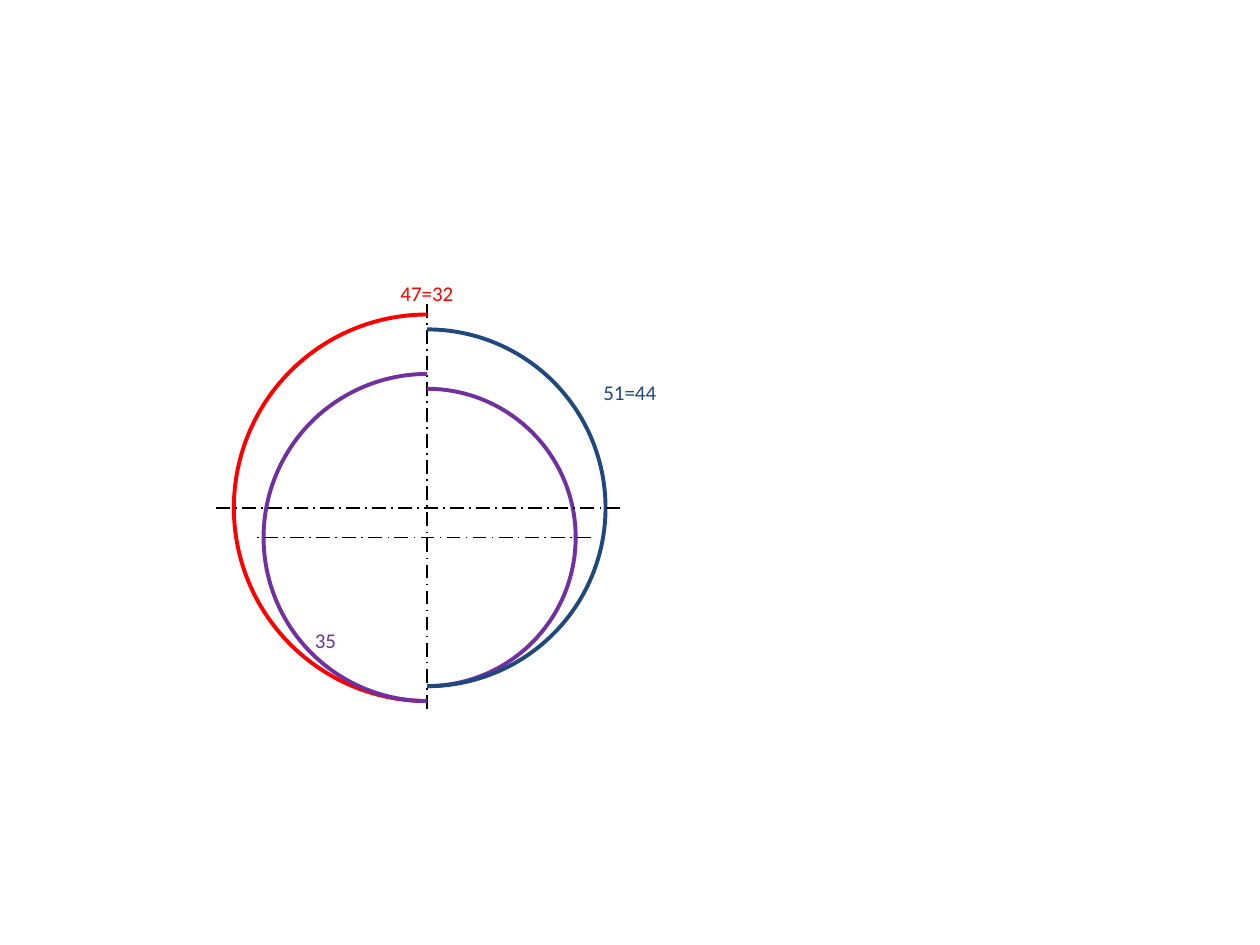
from pptx import Presentation
from pptx.dml.color import RGBColor
from pptx.enum.dml import MSO_LINE
from pptx.enum.shapes import MSO_CONNECTOR, MSO_SHAPE
from pptx.enum.text import MSO_AUTO_SIZE
from pptx.oxml.ns import qn
from pptx.util import Inches, Pt
from lxml import etree

ARC = MSO_SHAPE.ARC
STRAIGHT = MSO_CONNECTOR.STRAIGHT
LONG_DASH_DOT = MSO_LINE.LONG_DASH_DOT
FIT_SHAPE = MSO_AUTO_SIZE.SHAPE_TO_FIT_TEXT

COLORS = {"axis": "000000", "left": "FF0000", "right": "1F497D", "inner": "7030A0"}

# Grid: columns and rows counted from the centre of the outer arcs.
UNIT = 0.118
CENTER_X, CENTER_Y = 3.39, 4.03
INNER_ROW = 2

# Arc angles in units of 100000/60000 degrees.
TOP, BOTTOM = 162, 54
HALVES = {"left": (BOTTOM, TOP), "right": (TOP, BOTTOM)}


def color(name):
    return RGBColor.from_string(COLORS[name])


def point(column, row):
    return Inches(CENTER_X + column * UNIT), Inches(CENTER_Y + row * UNIT)


def add_half_circle(page, side, radius, row, color_name):
    size = Inches(2 * radius * UNIT)
    arc = page.shapes.add_shape(ARC, *point(-radius, row - radius), size, size)
    arc.adjustments[0], arc.adjustments[1] = HALVES[side]
    arc.shadow.inherit = False
    arc.fill.background()
    arc.line.color.rgb = color(color_name)
    arc.line.width = Pt(2.25)


def add_axis(page, start, end):
    axis = page.shapes.add_connector(STRAIGHT, *point(*start), *point(*end))
    axis.line.color.rgb = color("axis")
    axis.line.width = Pt(1)
    axis.line.dash_style = LONG_DASH_DOT
    etree.SubElement(axis._element.spPr, qn("a:effectLst"))


def add_label(page, text, left, top, width, color_name):
    box = page.shapes.add_textbox(Inches(left), Inches(top), Inches(width), Inches(0.3))
    frame = box.text_frame
    frame.text = text
    frame.word_wrap = False
    frame.auto_size = FIT_SHAPE
    font = frame.paragraphs[0].runs[0].font
    font.name = "Calibri"
    font.size = Pt(12)
    font.color.rgb = color(color_name)


def main():
    deck = Presentation()
    deck.slide_width, deck.slide_height = Inches(10), Inches(7.5)
    page = deck.slides.add_slide(deck.slide_layouts[6])

    add_axis(page, (0, -13.7), (0, 13.7))
    add_half_circle(page, "left", 13, 0, "left")
    add_half_circle(page, "left", 11, INNER_ROW, "inner")
    add_half_circle(page, "right", 10, INNER_ROW, "inner")
    add_half_circle(page, "right", 12, 0, "right")
    add_axis(page, (13, 0), (-14.3, 0))
    add_axis(page, (11, INNER_ROW), (-11.7, INNER_ROW))

    add_label(page, "47=32", 3.08, 2.18, 0.63, "left")
    add_label(page, "35", 2.4, 4.93, 0.39, "inner")
    add_label(page, "51=44", 4.69, 2.96, 0.63, "right")

    deck.save("out.pptx")


if __name__ == "__main__":
    main()
